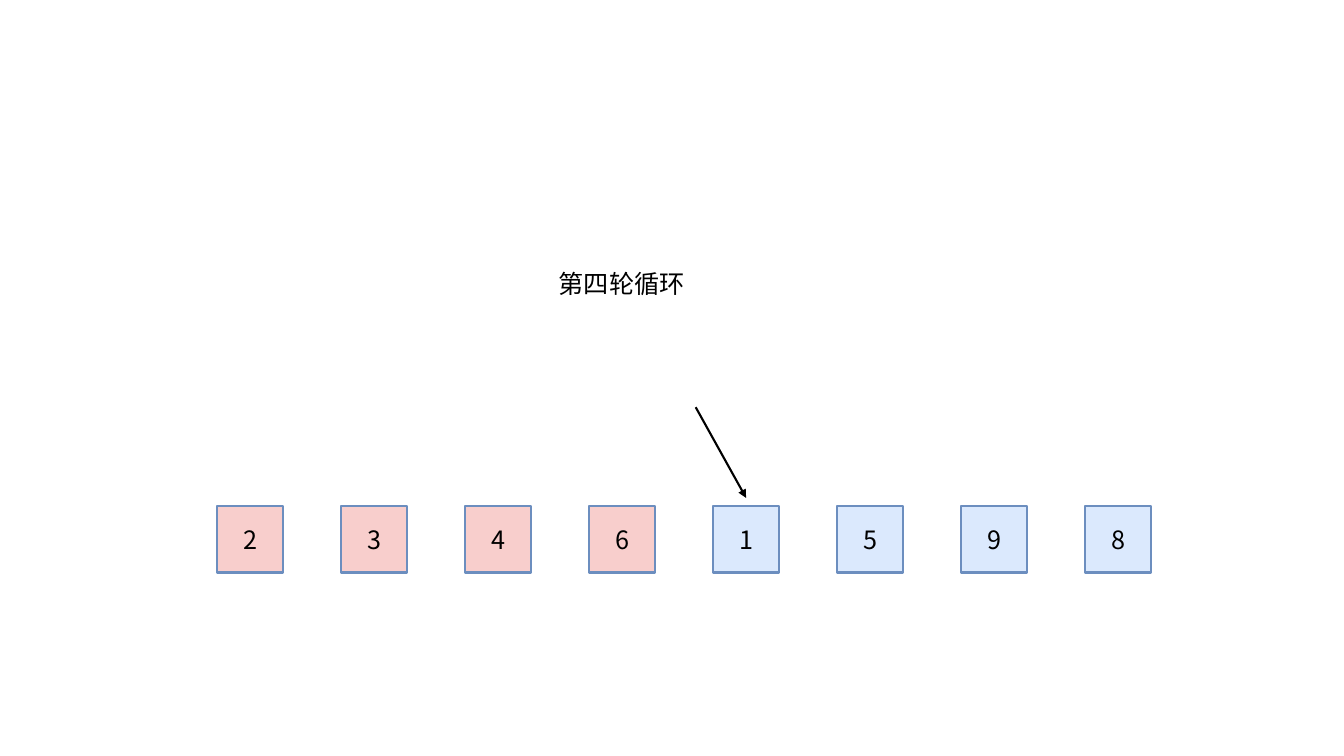
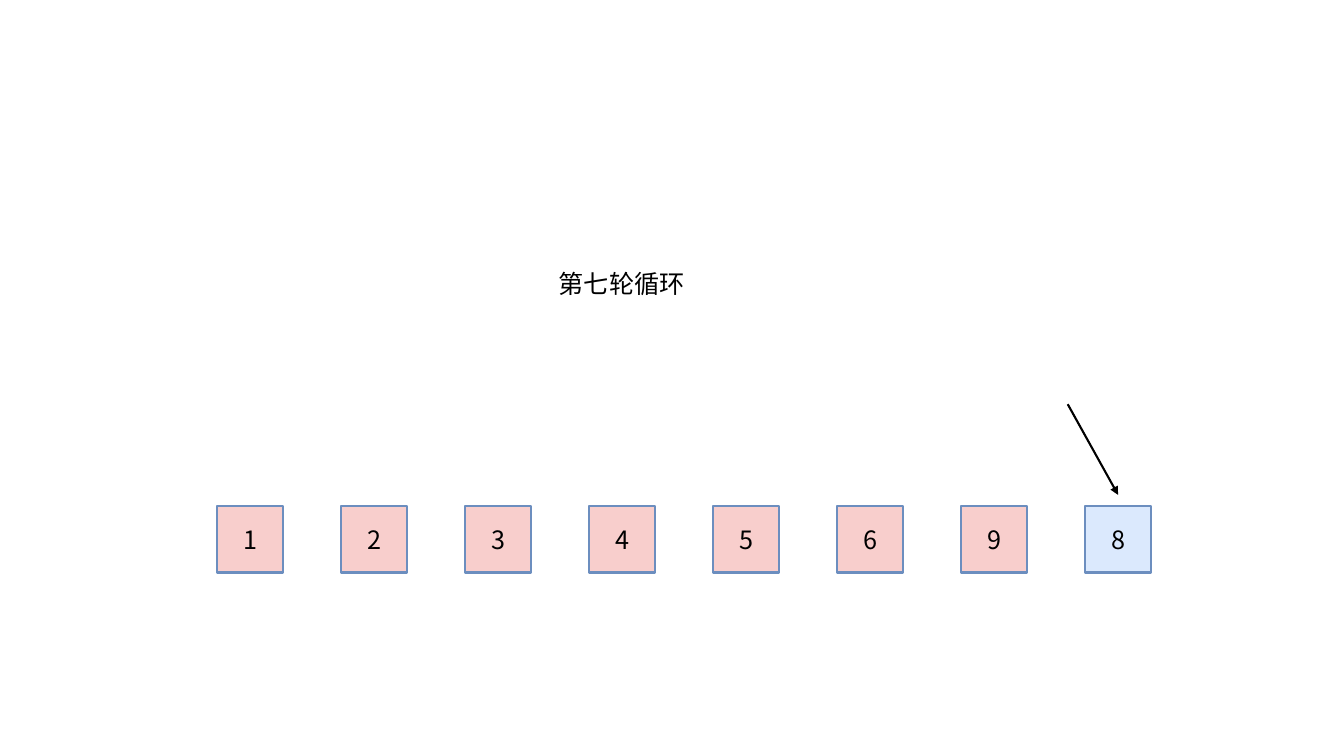
from dataclasses import dataclass

from lxml import etree
from pptx import Presentation
from pptx import util as u
from pptx.dml.color import RGBColor
from pptx.enum import shapes, text
from pptx.oxml import ns


@dataclass(frozen=True)
class Theme:
    font: str = "Noto Sans CJK SC"
    size: float = 18
    stroke: float = 1.5
    ink: str = "000000"
    border: str = "6C8EBF"
    sorted_fill: str = "F8CECC"
    unsorted_fill: str = "DBE9FD"


THEME = Theme()
SLIDE_SIZE = (13.33, 7.5)
ROW_LEFT, ROW_TOP = 2.15, 5.02
CELL, PITCH = 0.66, 1.23
ARROW_RUN, ARROW_RISE = 0.5, 0.9
TITLE_AREA = (5.44, 2.61, 1.46, 0.4)

ROUNDS = [
    {"title": "第四轮循环", "values": [2, 3, 4, 6, 1, 5, 9, 8],
     "current": 4, "tip": 4.94},
    {"title": "第七轮循环", "values": [1, 2, 3, 4, 5, 6, 9, 8],
     "current": 7, "tip": 4.91},
]


def apply(target, values):
    for name, value in values.items():
        setattr(target, name, value)


def color(code):
    return RGBColor.from_string(code)


def write(shape, content, align, frame_format):
    frame = shape.text_frame
    apply(frame, frame_format)
    para = frame.paragraphs[0]
    para.alignment = align
    span = para.add_run()
    span.text = content
    apply(span.font, {"size": u.Pt(THEME.size), "name": THEME.font})
    span.font.color.rgb = color(THEME.ink)
    east_asian = etree.SubElement(span.font._element, ns.qn("a:ea"))
    east_asian.set("typeface", THEME.font)


def set_line(line, code):
    line.color.rgb = color(code)
    line.width = u.Pt(THEME.stroke)


def add_title(page, content):
    title = page.shapes.title
    names = ("left", "top", "width", "height")
    apply(title, dict(zip(names, map(u.Inches, TITLE_AREA))))
    write(title, content, text.PP_ALIGN.LEFT, {
        "word_wrap": False,
        "auto_size": text.MSO_AUTO_SIZE.SHAPE_TO_FIT_TEXT,
        "vertical_anchor": text.MSO_ANCHOR.TOP,
    })


def add_cell(page, column, value, fill):
    area = (ROW_LEFT + column * PITCH, ROW_TOP, CELL, CELL)
    box = page.shapes.add_shape(
        shapes.MSO_SHAPE.RECTANGLE, *map(u.Inches, area))
    box.shadow.inherit = False
    box.fill.solid()
    box.fill.fore_color.rgb = color(fill)
    set_line(box.line, THEME.border)
    write(box, str(value), text.PP_ALIGN.CENTER,
          {"vertical_anchor": text.MSO_ANCHOR.MIDDLE})


def add_pointer(page, column, tip):
    center = ROW_LEFT + column * PITCH + CELL / 2
    ends = (center - ARROW_RUN, tip - ARROW_RISE, center, tip)
    arrow = page.shapes.add_connector(
        shapes.MSO_CONNECTOR.STRAIGHT, *map(u.Inches, ends))
    set_line(arrow.line, THEME.ink)
    properties = arrow._element.spPr
    head = etree.SubElement(properties.find(ns.qn("a:ln")), ns.qn("a:tailEnd"))
    head.set("type", "triangle")
    etree.SubElement(properties, ns.qn("a:effectLst"))


def add_round(deck, title, values, current, tip):
    page = deck.slides.add_slide(deck.slide_layouts.get_by_name("Title Only"))
    add_title(page, title)
    for column, value in enumerate(values):
        fill = THEME.sorted_fill if column < current else THEME.unsorted_fill
        add_cell(page, column, value, fill)
    add_pointer(page, current, tip)


def main():
    deck = Presentation()
    deck.slide_width, deck.slide_height = map(u.Inches, SLIDE_SIZE)
    for step in ROUNDS:
        add_round(deck, **step)
    deck.save("out.pptx")


main()
